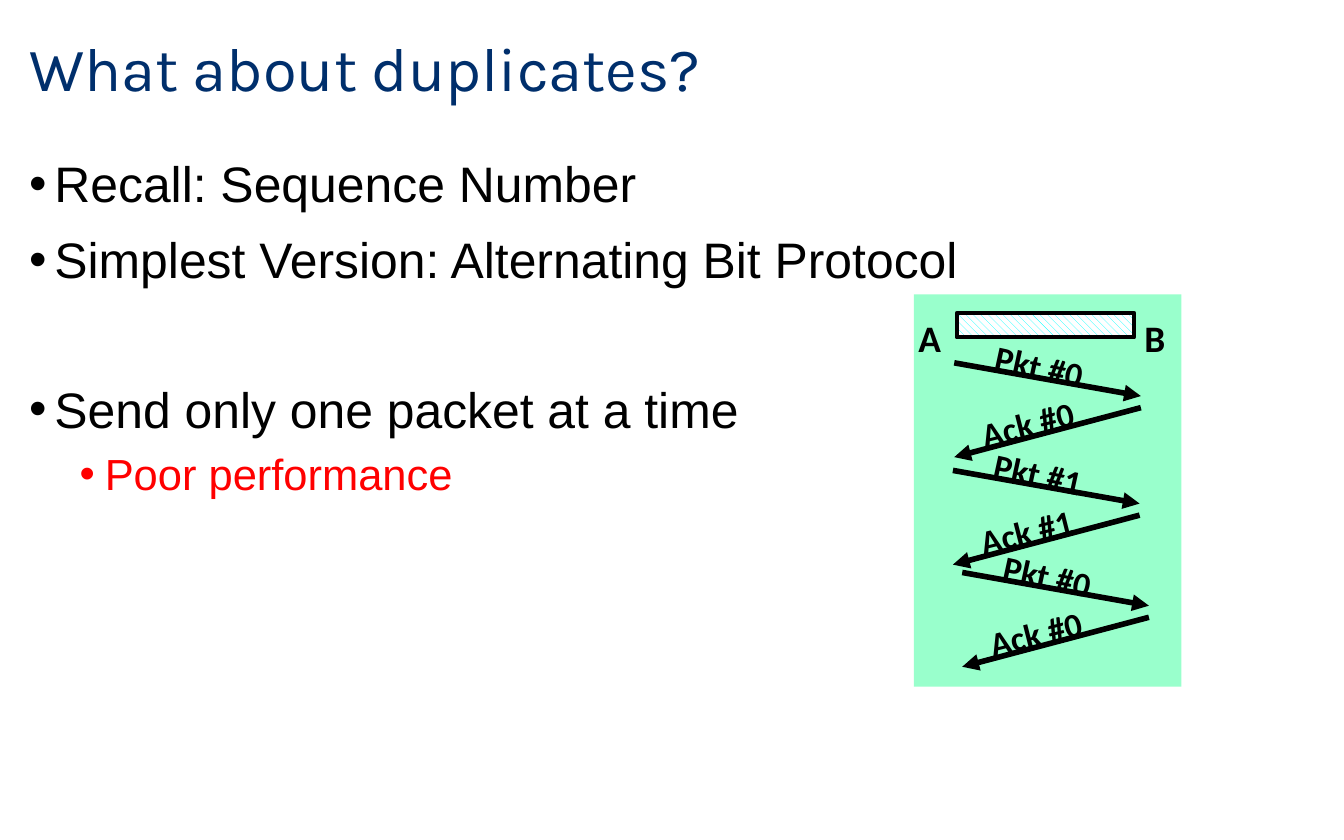
import pptx
import pptx.util
import pptx.dml.color
import pptx.enum.dml
import pptx.enum.shapes
import pptx.enum.text
import pptx.oxml.ns
import lxml.etree

Pt = pptx.util.Pt
RGB = pptx.dml.color.RGBColor
NAVY = RGB(0x00, 0x2F, 0x6C)
BLACK = RGB(0, 0, 0)
RED = RGB(0xFF, 0, 0)
MINT = RGB(0x99, 0xFF, 0xCC)
CYAN = RGB(0, 0xFF, 0xFF)
WHITE = RGB(0xFF, 0xFF, 0xFF)

BULLETS = [  # text, left margin, space before, size, colour
    ("Recall: Sequence Number", 13.5, 0, 26.7, BLACK),
    ("Simplest Version: Alternating Bit Protocol", 13.5, 8.7, 26.7, BLACK),
    ("Send only one packet at a time", 13.5, 48, 26.7, BLACK),
    ("Poor performance", 40.5, 4.9, 23.3, RED),
]
ROUNDS = [(21.6, 36.7, 0), (20.9, 94.3, 1), (25.9, 149, 0)]  # left, top, bit


def style(item, values):
    for name, value in values.items():
        setattr(item, name, value)


def add_el(parent, tag, **attrs):
    return lxml.etree.SubElement(parent, pptx.oxml.ns.qn(tag), attrs)


def add_box(slide, box, **frame):
    shape = slide.shapes.add_textbox(*map(Pt, box))
    style(shape.text_frame, {"word_wrap": True, **frame})
    return shape


def write(para, text, font, size, color, bold=False):
    run = para.add_run()
    run.text = text
    style(run.font, {"name": font, "size": Pt(size), "bold": bold})
    run.font.color.rgb = color


def add_title(slide, box):
    shape = add_box(slide, box,
                    vertical_anchor=pptx.enum.text.MSO_ANCHOR.MIDDLE)
    para = shape.text_frame.paragraphs[0]
    para.line_spacing = 0.9
    write(para, "What about duplicates?", "Karla", 33, NAVY)


def add_list(slide, box):
    frame = add_box(slide, box).text_frame
    for i, (text, left, gap, size, color) in enumerate(BULLETS):
        para = frame.add_paragraph() if i else frame.paragraphs[0]
        para.space_before = Pt(gap)
        props = para._p.get_or_add_pPr()
        props.set("marL", str(Pt(left)))
        props.set("indent", str(Pt(-13.5)))
        add_el(props, "a:buFont", typeface="Arial")
        add_el(props, "a:buChar", char="•")
        write(para, text, "Arial", size, color)


def add_rect(slide, box):
    shape = slide.shapes.add_shape(
        pptx.enum.shapes.MSO_SHAPE.RECTANGLE, *map(Pt, box))
    shape.shadow.inherit = False
    return shape


def add_label(slide, text, box, size, turn=0):
    shape = add_box(slide, box, word_wrap=False,
                    margin_left=Pt(6), margin_right=Pt(6),
                    margin_top=Pt(3), margin_bottom=Pt(3))
    shape.rotation = turn
    write(shape.text_frame.paragraphs[0], text, "Calibri", size, BLACK, True)


def add_arrow(slide, *ends):
    arrow = slide.shapes.add_connector(
        pptx.enum.shapes.MSO_CONNECTOR.STRAIGHT, *map(Pt, ends))
    arrow.line.width = Pt(3)
    arrow.line.color.rgb = BLACK
    add_el(arrow.line._get_or_add_ln(), "a:tailEnd", type="triangle")
    add_el(arrow._element.spPr, "a:effectLst")


def add_round(slide, x, y, bit):
    """Draw one packet sent to B and its acknowledgement back to A."""
    add_arrow(slide, x, y, x + 100, y + 17.8)
    add_label(slide, f"Pkt #{bit}", (x + 15.8, y - 11.5, 68.4, 28), 18.3, 12.3)
    add_arrow(slide, x + 100, y + 24, x, y + 50.5)
    add_label(slide, f"Ack #{bit}", (x + 7.9, y + 17.3, 72, 28), 18.3, 345.8)


def add_panel(slide, box):
    left, top = box[:2]
    panel = add_rect(slide, box)
    panel.fill.solid()
    panel.fill.fore_color.rgb = MINT
    panel.line.fill.background()

    link = add_rect(slide, (left + 23, top + 10, 95, 13))
    link.fill.patterned()
    link.fill.pattern = pptx.enum.dml.MSO_PATTERN.WIDE_DOWNWARD_DIAGONAL
    link.fill.fore_color.rgb = CYAN
    link.fill.back_color.rgb = WHITE
    link.line.width = Pt(2.25)
    link.line.color.rgb = BLACK

    add_label(slide, "A", (left - 3.6, top + 8, 28, 30), 20)
    add_label(slide, "B", (left + 117.4, top + 8, 26, 30), 20)
    for x, y, bit in ROUNDS:
        add_round(slide, left + x, top + y, bit)


def main():
    deck = pptx.Presentation()
    style(deck, {"slide_width": Pt(720), "slide_height": Pt(450)})
    slide = deck.slides.add_slide(deck.slide_layouts[6])
    add_title(slide, (8.6, 7.2, 613.4, 62))
    add_list(slide, (8.6, 78.5, 703.4, 327))
    add_panel(slide, (489.6, 157.7, 143.3, 210.2))
    deck.save("out.pptx")


if __name__ == "__main__":
    main()
